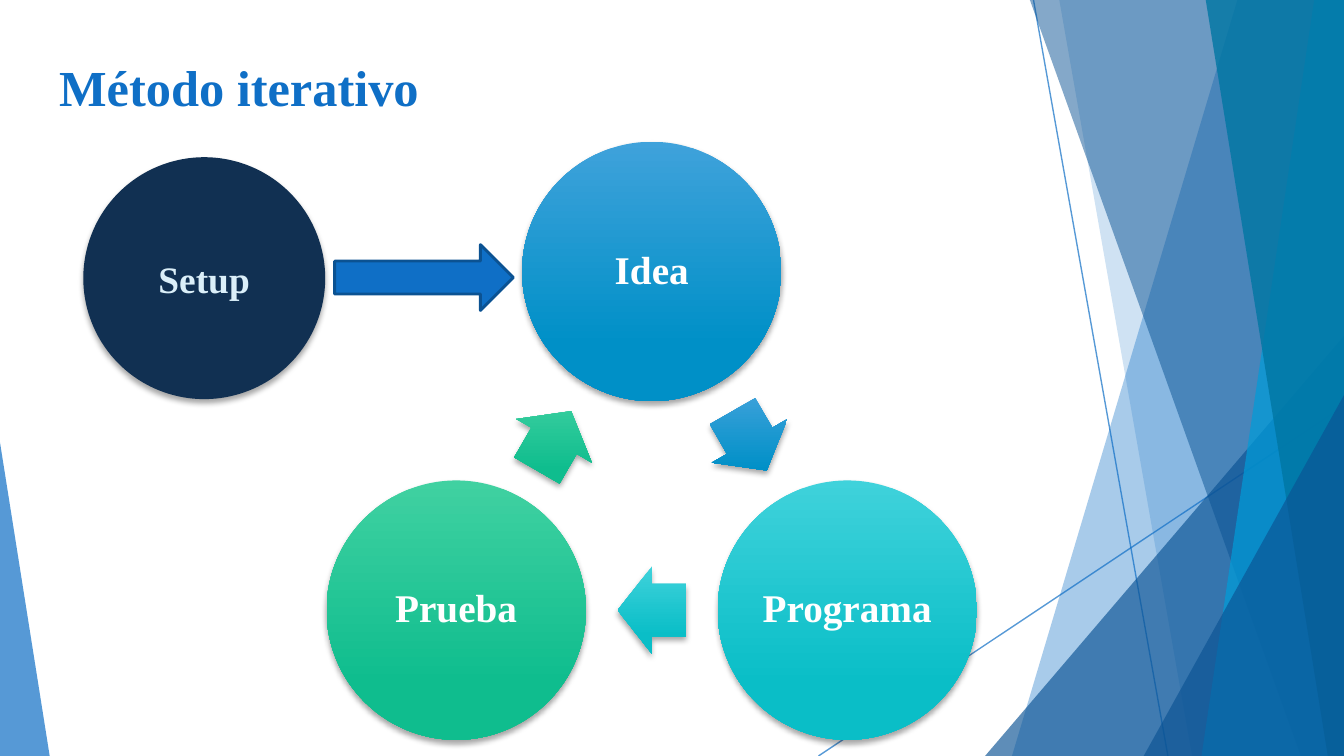
from math import cos, radians, sin

from lxml import etree
from pptx import Presentation
from pptx.dml.color import RGBColor
from pptx.enum.shapes import MSO_CONNECTOR, MSO_SHAPE
from pptx.enum.text import MSO_ANCHOR, PP_ALIGN
from pptx.oxml.ns import qn
from pptx.util import Inches, Pt

OVAL = MSO_SHAPE.OVAL
ARROW = MSO_SHAPE.RIGHT_ARROW
WEDGE = MSO_SHAPE.ISOSCELES_TRIANGLE
LINE = MSO_CONNECTOR.STRAIGHT
MIDDLE, BOTTOM = MSO_ANCHOR.MIDDLE, MSO_ANCHOR.BOTTOM
LEFT, CENTER = PP_ALIGN.LEFT, PP_ALIGN.CENTER

FONT = "Times New Roman"
WIDTH = 10
HEIGHT = WIDTH * 9 / 16
HUB, REACH = (4.85, 3.7), 1.68
DISC = 1.93

COLORS = {
    "blue": "0F6FC6", "deep": "0B5394", "edge": "0B5292",
    "sky": "009DD9", "teal": "0076A3", "navy": "113052",
    "pale": "DBEFF9", "white": "FFFFFF",
}
STEPS = [
    ("Idea", ("3FA2DB", "0090C7")),
    ("Programa", ("3FD2DB", "0ABEC7")),
    ("Prueba", ("40D1A1", "0FBD8E")),
]
BANDS = [
    (9.21, 7.53, "blue", 36),
    (7.88, 8.87, "blue", 20),
    (7.66, 9.68, "deep", 50),
    (9.78, 8.94, "sky", 70),
    (8.97, 9.88, "teal", 80),
]


def tint(name):
    return RGBColor.from_string(COLORS[name])


def fade(node, alpha):
    color = next(node.iter(qn("a:srgbClr")))
    etree.SubElement(color, qn("a:alpha"), val=str(alpha * 1000))


def paint(shape, name, alpha=100):
    shape.fill.solid()
    shape.fill.fore_color.rgb = tint(name)
    if alpha < 100:
        fade(shape._element.spPr.find(qn("a:solidFill")), alpha)


def blend(shape, pair):
    shape.fill.gradient()
    shape.fill.gradient_angle = 270
    for stop, place, code in zip(shape.fill.gradient_stops, (0, 0.78), pair):
        stop.position = place
        stop.color.rgb = RGBColor.from_string(code)
    shape._element.spPr.find(qn("a:gradFill")).set("rotWithShape", "0")


def shade(shape):
    effects = shape._element.spPr.find(qn("a:effectLst"))
    shadow = etree.SubElement(
        effects, qn("a:outerShdw"), blurRad=str(Pt(3)), dist=str(Pt(2)),
        dir="5400000", algn="ctr", rotWithShape="0")
    color = etree.SubElement(shadow, qn("a:srgbClr"), val="000000")
    etree.SubElement(color, qn("a:alpha"), val="35000")


def add_shape(slide, kind, x, y, w, h, adjust=()):
    shape = slide.shapes.add_shape(
        kind, Inches(x), Inches(y), Inches(w), Inches(h))
    shape.shadow.inherit = False
    shape.line.fill.background()
    for i, value in enumerate(adjust):
        shape.adjustments[i] = value
    return shape


def write(shape, text, size, color, align=CENTER, anchor=MIDDLE, inset=0,
          spacing=1):
    frame = shape.text_frame
    frame.word_wrap = True
    frame.vertical_anchor = anchor
    frame.margin_left = frame.margin_right = Inches(inset)
    frame.margin_top = frame.margin_bottom = Inches(inset)
    para = frame.paragraphs[0]
    para.alignment = align
    para.line_spacing = spacing
    run = para.add_run()
    run.text = text
    run.font.name = FONT
    run.font.size = Pt(size)
    run.font.bold = True
    run.font.color.rgb = tint(color)


def add_line(slide, x1, y1, x2, y2):
    line = slide.shapes.add_connector(
        LINE, Inches(x1), Inches(y1), Inches(x2), Inches(y2))
    line.line.color.rgb = tint("blue")
    line.line.width = Pt(0.75)
    props = line._element.spPr
    fade(props.find(qn("a:ln")), 70)
    etree.SubElement(props, qn("a:effectLst"))


def add_band(slide, top, base, color, alpha):
    pen = slide.shapes.build_freeform(Inches(top), Inches(-0.01))
    corners = [(WIDTH, -0.01), (WIDTH, HEIGHT), (base, HEIGHT)]
    pen.add_line_segments([(Inches(x), Inches(y)) for x, y in corners])
    band = pen.convert_to_shape()
    band.shadow.inherit = False
    band.line.fill.background()
    paint(band, color, alpha)


def add_wedge(slide, x, y, w, apex, color, alpha):
    wedge = add_shape(slide, WEDGE, x, y, w, HEIGHT - y, [apex])
    paint(wedge, color, alpha)


def add_decor(slide):
    add_line(slide, 7.69, 0, 8.69, HEIGHT)
    add_line(slide, WIDTH, 3.02, 6.09, HEIGHT)
    for band in BANDS[:2]:
        add_band(slide, *band)
    add_wedge(slide, 7.33, 2.5, 2.67, 1, "deep", 66)
    for band in BANDS[2:]:
        add_band(slide, *band)
    add_wedge(slide, 8.51, 2.94, 1.49, 1, "deep", 66)
    add_wedge(slide, 0, 3.29, 0.37, 0, "blue", 70)


def add_title(slide, text):
    title = slide.shapes.title
    title.left, title.top = Inches(0.34), Inches(0.35)
    title.width, title.height = Inches(9.32), Inches(0.62)
    write(title, text, 27, "blue", align=LEFT, anchor=BOTTOM, inset=0.1)
    slide.shapes._spTree.append(title._element)


def spot(angle, reach, w, h):
    x = HUB[0] + reach * sin(radians(angle)) - w / 2
    y = HUB[1] - reach * cos(radians(angle)) - h / 2
    return x, y, w, h


def add_cycle(slide):
    turn = 360 / len(STEPS)
    for i, (text, pair) in enumerate(STEPS):
        angle = i * turn
        disc = add_shape(slide, OVAL, *spot(angle, REACH, DISC, DISC))
        write(disc, text, 21, "white", inset=0.03, spacing=0.9)
        middle = angle + turn / 2
        place = spot(middle, REACH * cos(radians(turn / 2)), 0.51, 0.65)
        arrow = add_shape(slide, ARROW, *place, [0.6, 0.5])
        arrow.rotation = middle
        for shape in (disc, arrow):
            blend(shape, pair)
            shade(shape)


def add_start(slide):
    disc = add_shape(slide, OVAL, 0.62, 1.17, 1.8, 1.8)
    paint(disc, "navy")
    shade(disc)
    write(disc, "Setup", 20, "pale")
    arrow = add_shape(slide, ARROW, 2.49, 1.82, 1.33, 0.49)
    paint(arrow, "blue")
    arrow.line.color.rgb = tint("edge")
    arrow.line.width = Pt(1.5)


def main():
    deck = Presentation()
    deck.slide_width, deck.slide_height = Inches(WIDTH), Inches(HEIGHT)
    slide = deck.slides.add_slide(deck.slide_layouts[5])
    add_decor(slide)
    add_title(slide, "Método iterativo")
    add_cycle(slide)
    add_start(slide)
    deck.save("out.pptx")


if __name__ == "__main__":
    main()
